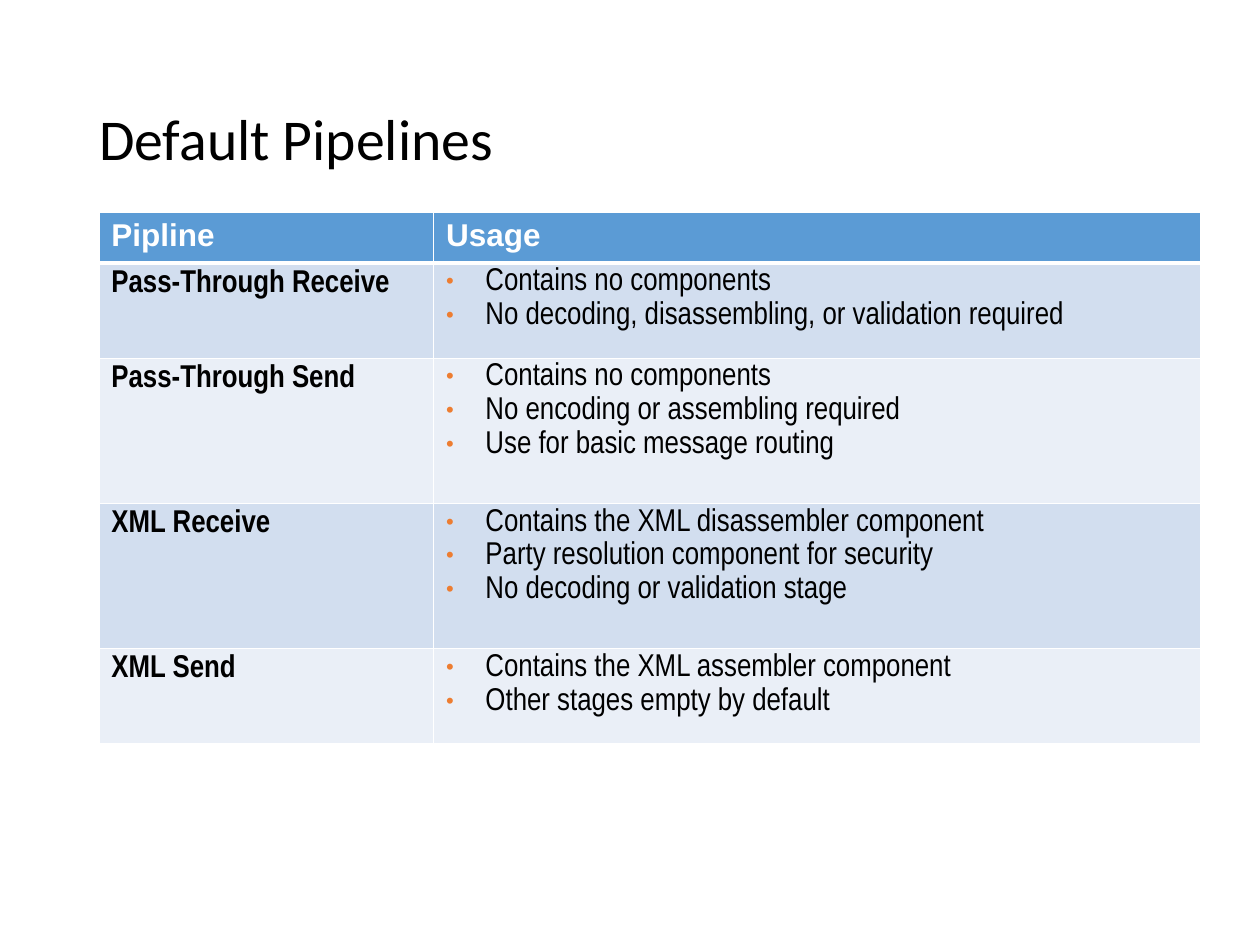
import pptx
import pptx.dml.color
import pptx.enum.text
import pptx.oxml.ns
import pptx.util
from lxml import etree

Pt = pptx.util.Pt
qn = pptx.oxml.ns.qn

theme = {
    "text": "000000",
    "header_text": "FFFFFF",
    "header_fill": "5B9BD5",
    "band_fills": ["D2DEEF", "EAEFF7"],
    "border": "FFFFFF",
    "bullet": "ED7D31",
    "title_font": "Calibri",
    "header_font": "Arial",
    "body_font": "Arial Narrow",
    "title_size": 33,
    "table_size": 18,
}

pipelines = [
    ("Pass-Through Receive", [
        "Contains no components",
        "No decoding, disassembling, or validation required",
    ]),
    ("Pass-Through Send", [
        "Contains no components",
        "No encoding or assembling required",
        "Use for basic message routing",
    ]),
    ("XML Receive", [
        "Contains the XML disassembler component",
        "Party resolution component for security",
        "No decoding or validation stage",
    ]),
    ("XML Send", [
        "Contains the XML assembler component",
        "Other stages empty by default",
    ]),
]


def add_span(para, text, font, size, color, bold):
    span = para.add_run()
    span.text = text
    span.font.name = font
    span.font.size = Pt(size)
    span.font.bold = bold
    span.font.color.rgb = pptx.dml.color.RGBColor.from_string(color)


def style_cell(cell, fill, top, bottom):
    properties = cell._tc.get_or_add_tcPr()
    for side, width in (("L", 1), ("R", 1), ("T", top), ("B", bottom)):
        line = etree.SubElement(properties, qn(f"a:ln{side}"), w=str(Pt(width)))
        solid = etree.SubElement(line, qn("a:solidFill"))
        etree.SubElement(solid, qn("a:srgbClr"), val=theme["border"])
    cell.fill.solid()
    cell.fill.fore_color.rgb = pptx.dml.color.RGBColor.from_string(fill)


deck = pptx.Presentation()
deck.slide_width, deck.slide_height = Pt(720), Pt(540)
slide = deck.slides.add_slide(deck.slide_layouts[5])

title = slide.shapes.title
title.left, title.top, title.width, title.height = Pt(49.5), Pt(28.75), Pt(621), Pt(104.4)
title.text_frame.vertical_anchor = pptx.enum.text.MSO_ANCHOR.MIDDLE
title.text_frame.auto_size = pptx.enum.text.MSO_AUTO_SIZE.NONE
para = title.text_frame.paragraphs[0]
para.alignment = pptx.enum.text.PP_ALIGN.LEFT
para.line_spacing = 0.9
add_span(para, "Default Pipelines", theme["title_font"], theme["title_size"], theme["text"], False)

column_widths = [191.25, 438.5]
row_heights = [29.25, 54.5, 83, 83, 54.5]
table = slide.shapes.add_table(
    len(row_heights), len(column_widths),
    Pt(56.5), Pt(121), Pt(sum(column_widths)), Pt(sum(row_heights)),
).table
for column, width in zip(table.columns, column_widths):
    column.width = Pt(width)
for row, height in zip(table.rows, row_heights):
    row.height = Pt(height)

for column, heading in enumerate(["Pipline", "Usage"]):
    cell = table.cell(0, column)
    style_cell(cell, theme["header_fill"], 1, 3)
    add_span(cell.text_frame.paragraphs[0], heading, theme["header_font"],
             theme["table_size"], theme["header_text"], True)

for row, (name, usages) in enumerate(pipelines, start=1):
    name_cell, usage_cell = table.cell(row, 0), table.cell(row, 1)
    for cell in (name_cell, usage_cell):
        style_cell(cell, theme["band_fills"][(row - 1) % 2], 3 if row == 1 else 1, 1)
    add_span(name_cell.text_frame.paragraphs[0], name, theme["body_font"],
             theme["table_size"], theme["text"], True)

    frame = usage_cell.text_frame
    for index, usage in enumerate(usages):
        para = frame.add_paragraph() if index else frame.paragraphs[0]
        properties = para._p.get_or_add_pPr()
        properties.set("marL", str(Pt(22.5)))
        properties.set("indent", str(-Pt(22.5)))
        bullet_color = etree.SubElement(properties, qn("a:buClr"))
        etree.SubElement(bullet_color, qn("a:srgbClr"), val=theme["bullet"])
        etree.SubElement(properties, qn("a:buSzPct"), val="70000")
        etree.SubElement(properties, qn("a:buFont"), typeface="Arial")
        etree.SubElement(properties, qn("a:buChar"), char="•")
        para.line_spacing = 0.9
        if index:
            para.space_before = Pt(4)
        add_span(para, usage, theme["body_font"], theme["table_size"], theme["text"], False)

deck.save("out.pptx")
